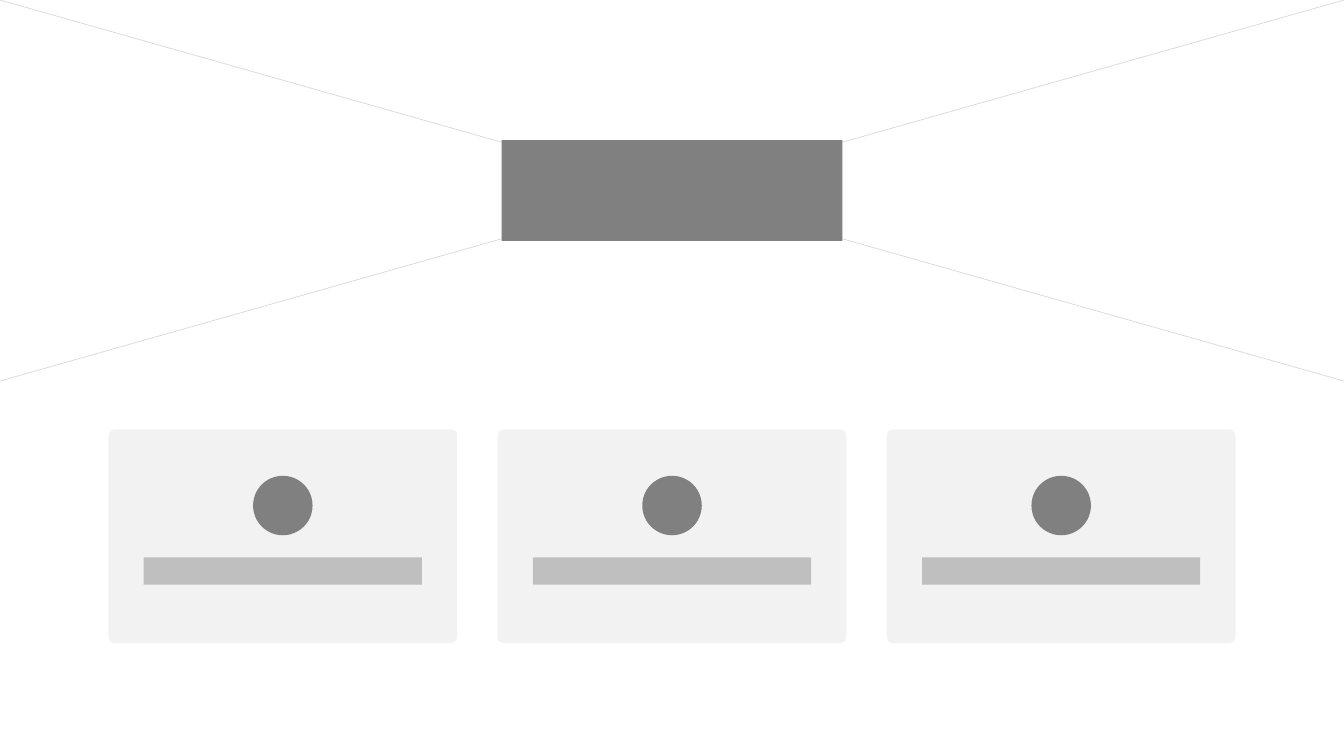
from pptx import Presentation
from pptx.dml.color import RGBColor
from pptx.enum.shapes import MSO_CONNECTOR, MSO_SHAPE
from pptx.oxml.ns import qn
from pptx.util import Inches, Pt
from lxml import etree

RECT = MSO_SHAPE.RECTANGLE
ROUNDED = MSO_SHAPE.ROUNDED_RECTANGLE
OVAL = MSO_SHAPE.OVAL
STRAIGHT = MSO_CONNECTOR.STRAIGHT

SLIDE_W, SLIDE_H = 13.33, 7.5
DARK, MID, PALE, RULE = "808080", "BFBFBF", "F2F2F2", "D9D9D9"

prs = Presentation()
prs.slide_width, prs.slide_height = Inches(SLIDE_W), Inches(SLIDE_H)
slide = prs.slides.add_slide(prs.slide_layouts[6])


def rgb(value):
    return RGBColor.from_string(value)


def add_block(kind, center_x, top, width, height, color):
    """Add a plain filled shape centred on center_x."""
    sp = slide.shapes.add_shape(kind, Inches(center_x - width / 2), Inches(top),
                                Inches(width), Inches(height))
    sp.shadow.inherit = False
    sp.fill.solid()
    sp.fill.fore_color.rgb = rgb(color)
    sp.line.fill.background()
    return sp


# Three card columns, centred on the slide
CARD_W, CARD_H, CARD_TOP, PITCH = 3.46, 2.12, 4.26, 3.86
centers = [SLIDE_W / 2 + PITCH * col for col in (-1, 0, 1)]

for x in centers:
    card = add_block(ROUNDED, x, CARD_TOP, CARD_W, CARD_H, PALE)
    card.adjustments[0] = 0.03

# Crossing diagonals of the upper area
HERO_H = 3.78
diagonals = slide.shapes.add_group_shape()
for start_x, end_x in ((0, SLIDE_W), (SLIDE_W, 0)):
    line = diagonals.shapes.add_connector(STRAIGHT, Inches(start_x), 0,
                                          Inches(end_x), Inches(HERO_H))
    line.line.color.rgb = rgb(RULE)
    line.line.width = Pt(0.5)
    etree.SubElement(line._element.spPr, qn("a:effectLst"))

# Block where the diagonals meet
add_block(RECT, SLIDE_W / 2, HERO_H / 2 - 0.5, 3.38, 1, DARK)

# Icon and caption bar of each card
for x in centers:
    add_block(RECT, x, CARD_TOP + 1.27, 2.76, 0.27, MID)
    add_block(OVAL, x, CARD_TOP + 0.46, 0.59, 0.59, DARK)

prs.save("out.pptx")
